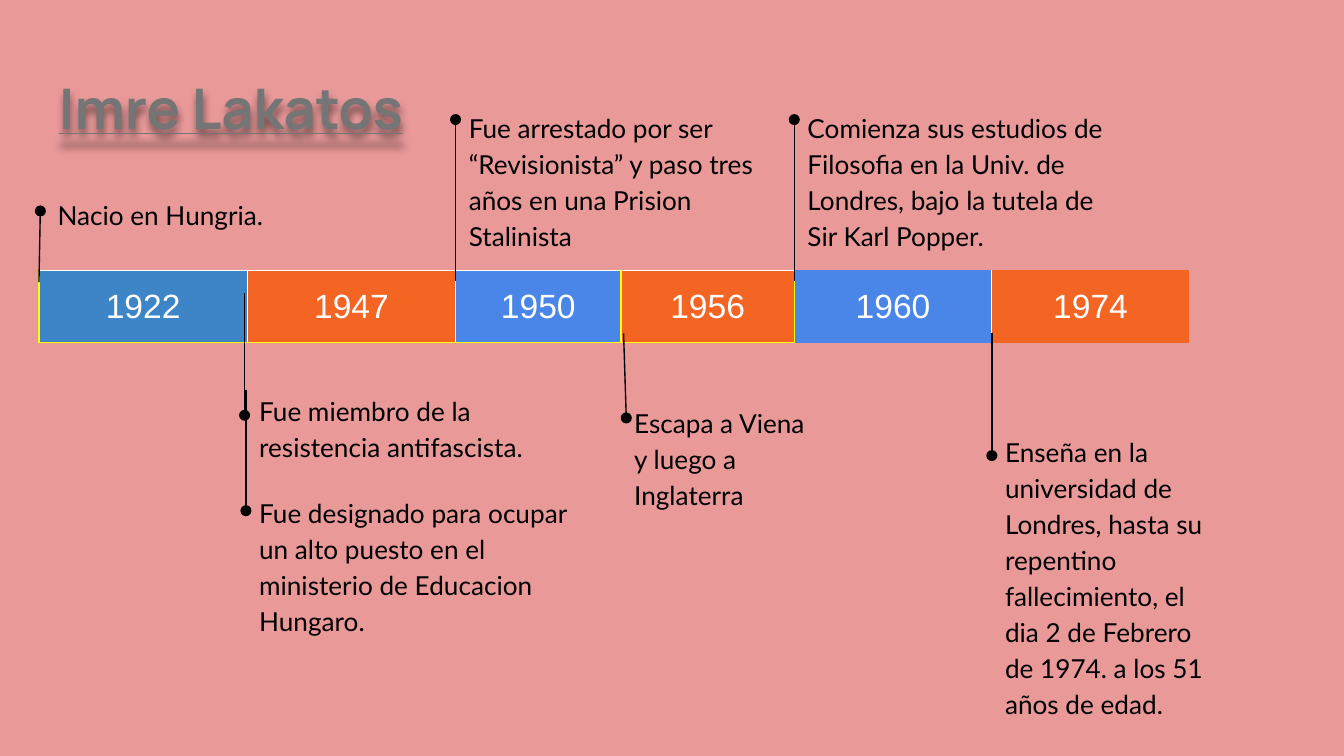
from itertools import accumulate
from lxml.etree import SubElement
from pptx import Presentation
from pptx.dml.color import RGBColor
from pptx.enum.shapes import MSO_CONNECTOR as Connector
from pptx.enum.text import MSO_ANCHOR as Anchor, PP_ALIGN as Align
from pptx.oxml import parse_xml
from pptx.oxml.ns import nsdecls, qn
from pptx.util import Inches, Pt

# Content
TITLE = "Imre Lakatos"
YEARS = [  # year, column width, fill
    ("1922", 1.55, "3D85C6"), ("1947", 1.55, "F46524"), ("1950", 1.23, "4A86E8"),
    ("1956", 1.29, "F46524"), ("1960", 1.47, "4A86E8"), ("1974", 1.47, "F46524"),
]
NOTES = [  # column, box offset, top, width, height, paragraphs
    (0, 0.04, 1.35, 2.53, 0.63, ["Nacio en Hungria."]),
    (1, -0.01, 2.81, 2.67, 1.97, [
        "Fue miembro de la resistencia antifascista.",
        "Fue designado para ocupar un alto puesto en el ministerio de Educacion Hungaro."]),
    (2, 0, 0.7, 2.57, 1.37, [
        "Fue arrestado por ser “Revisionista” y paso tres años en una Prision Stalinista"]),
    (3, 0, 2.9, 1.52, 1.27, ["Escapa a Viena y luego a Inglaterra"]),
    (4, 0, 0.7, 2.57, 1.37, [
        "Comienza sus estudios de Filosofia en la Univ. de Londres, "
        "bajo la tutela de Sir Karl Popper."]),
    (5, 0, 3.11, 1.74, 2.4, [
        "Enseña en la universidad de Londres, hasta su repentino fallecimiento, "
        "el dia 2 de Febrero de 1974. a los 51 años de edad."]),
]
PINS = [  # column, start offset, start y, end offset, end y
    (0, 0, 2.1, 0.01, 1.57), (1, -0.02, 2.18, -0.02, 3.09), (1, -0.01, 2.9, -0.01, 3.8),
    (2, 0, 2.09, 0, 0.89), (3, 0.02, 2.48, 0.04, 3.11), (4, 0, 2.09, 0, 0.89),
    (5, 0, 2.48, 0, 3.39),
]

# Timeline bar
SLIDE_WIDTH = 10
SLIDE_HEIGHT = SLIDE_WIDTH * 9 / 16
BAR_LEFT, BAR_TOP, BAR_HEIGHT = 0.29, 2.01, 0.54
WIDTHS = [width for _, width, _ in YEARS]
EDGES = list(accumulate(WIDTHS, initial=BAR_LEFT))
YELLOW, WHITE = "FFFF00", "FFFFFF"
DIVIDERS = [YELLOW, WHITE, WHITE, YELLOW, YELLOW, WHITE, None]
TOPS = [WHITE] * 4 + [None] * 2
BOTTOMS = [YELLOW] * 4 + [None] * 2

YEAR_FONT = dict(name="Arial", size=Pt(18))
NOTE_FONT = dict(name="Lato", size=Pt(14))
TITLE_FONT = dict(name="Manrope", size=Pt(30), bold=True, underline=True)
NOTE_SPACING = dict(line_spacing=1.15)


def color(value):
    return RGBColor.from_string(value)


def apply(target, formats):
    for name, value in formats.items():
        setattr(target, name, value)


def add_span(para, text, font, shade):
    span = para.add_run()
    span.text = text
    apply(span.font, font)
    span.font.color.rgb = color(shade)


def add_text(page, area, lines, font, shade, spacing):
    box = page.shapes.add_textbox(*map(Inches, area))
    frame = box.text_frame
    frame.word_wrap = True
    apply(frame, {f"margin_{side}": Inches(0.1) for side in ("left", "right", "top", "bottom")})
    for index, line in enumerate(lines):
        para = frame.add_paragraph() if index else frame.paragraphs[0]
        apply(para, spacing)
        if index:
            para.space_before = Pt(16)
        add_span(para, line, font, shade)
    return box


def set_borders(cell, shades):
    props = cell._tc.get_or_add_tcPr()
    for index, (side, shade) in enumerate(shades.items()):
        fill = f'<a:solidFill><a:srgbClr val="{shade}"/></a:solidFill>' if shade else "<a:noFill/>"
        props.insert(index, parse_xml(
            f'<a:ln{side} {nsdecls("a")} w="{Pt(0.75)}">{fill}</a:ln{side}>'))


def add_pin(page, start, end):
    pin = page.shapes.add_connector(Connector.STRAIGHT, *map(Inches, start + end))
    pin.line.color.rgb = color("000000")
    pin.line.width = Pt(0.75)
    SubElement(pin.line._get_or_add_ln(), qn("a:tailEnd"), type="oval")
    SubElement(pin._element.spPr, qn("a:effectLst"))


deck = Presentation()
deck.slide_width, deck.slide_height = Inches(SLIDE_WIDTH), Inches(SLIDE_HEIGHT)
page = deck.slides.add_slide(deck.slide_layouts[6])
page.background.fill.solid()
page.background.fill.fore_color.rgb = color("EA9999")

# Title with a soft shadow below the letters
title = add_text(page, (0.34, 0.45, 9.32, 0.7), [TITLE], TITLE_FONT, "757575", {})
title._element.spPr.append(parse_xml(
    f'<a:effectLst {nsdecls("a")}><a:outerShdw blurRad="{Pt(4)}" dist="{Pt(3)}" dir="5400000" '
    'algn="bl" rotWithShape="0"><a:srgbClr val="000000"><a:alpha val="50000"/></a:srgbClr>'
    '</a:outerShdw></a:effectLst>'))

# Years
table = page.shapes.add_table(1, len(YEARS), *map(
    Inches, (BAR_LEFT, BAR_TOP, sum(WIDTHS), BAR_HEIGHT))).table
table.first_row = table.horz_banding = False
for index, (year, width, shade) in enumerate(YEARS):
    table.columns[index].width = Inches(width)
    cell = table.cell(0, index)
    cell.vertical_anchor = Anchor.MIDDLE
    apply(cell, {f"margin_{side}": Inches(0.1) for side in ("left", "right", "top", "bottom")})
    cell.fill.solid()
    cell.fill.fore_color.rgb = color(shade)
    set_borders(cell, dict(L=DIVIDERS[index], R=DIVIDERS[index + 1],
                           T=TOPS[index], B=BOTTOMS[index]))
    para = cell.text_frame.paragraphs[0]
    para.alignment = Align.CENTER
    add_span(para, year, YEAR_FONT, WHITE)

# Notes and their pins
for column, offset, top, width, height, lines in NOTES:
    add_text(page, (EDGES[column] + offset, top, width, height), lines,
             NOTE_FONT, "000000", NOTE_SPACING)
for column, start_offset, start_y, end_offset, end_y in PINS:
    edge = EDGES[column]
    add_pin(page, (edge + start_offset, start_y), (edge + end_offset, end_y))

deck.save("out.pptx")
